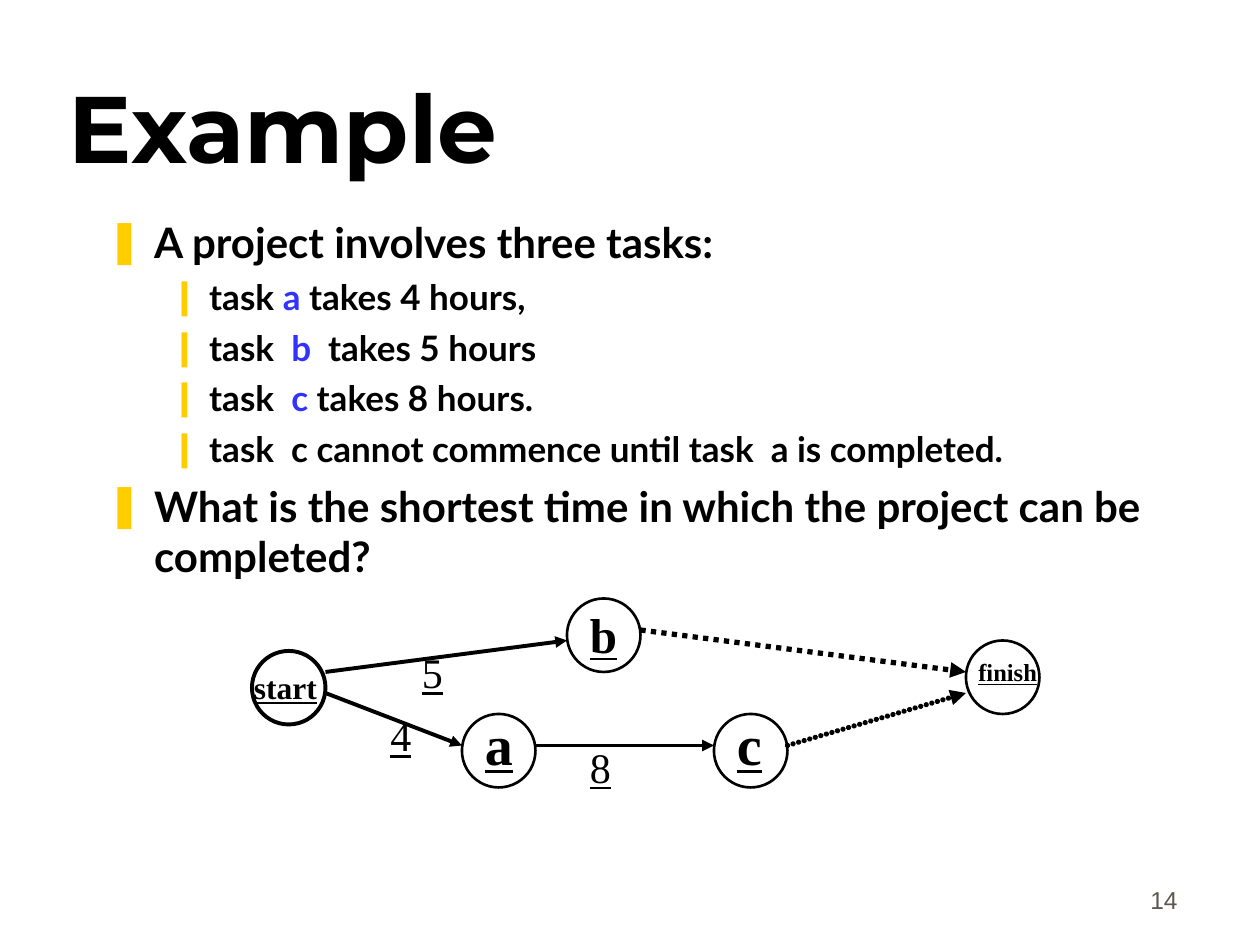
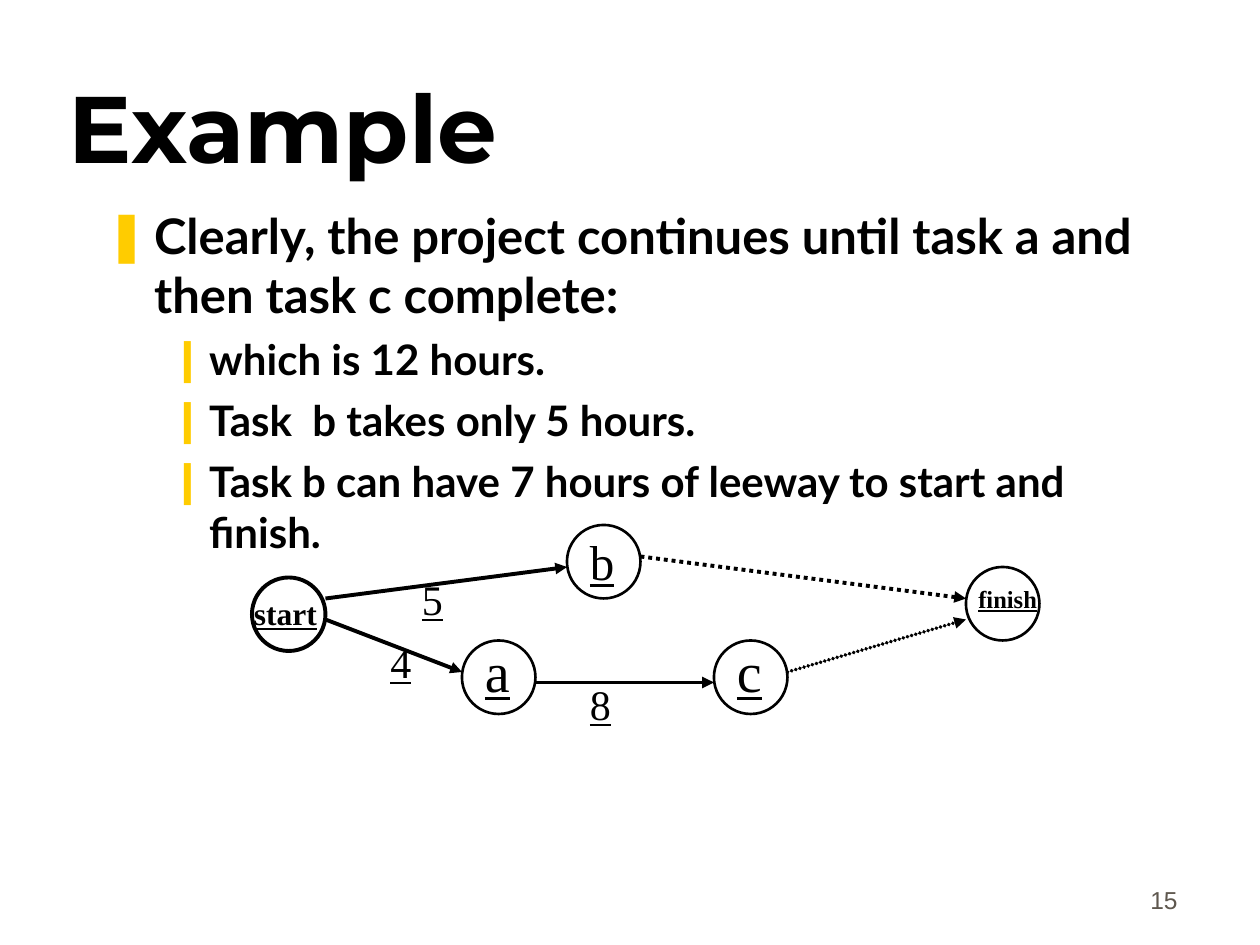
from dataclasses import dataclass
from typing import NamedTuple

from lxml.etree import SubElement
from pptx import Presentation
from pptx.dml.color import RGBColor
from pptx.enum.dml import MSO_LINE
from pptx.enum.shapes import MSO_CONNECTOR, MSO_SHAPE
from pptx.enum.text import MSO_ANCHOR, PP_ALIGN
from pptx.oxml.ns import qn
from pptx.util import Pt


class Box(NamedTuple):
    """A region in points."""
    left: float
    top: float
    width: float
    height: float


class Level(NamedTuple):
    """The bullet and indents of one outline level."""
    bullet: str
    margin: float
    hanging: float


class Node(NamedTuple):
    """A circle of the project graph and the place and size of its label."""
    name: str
    left: float
    top: float
    label_left: float
    label_top: float
    label_width: float
    size: float
    terminal: bool = False
    outline: float = 1.5


@dataclass(frozen=True)
class Theme:
    """Colours, fonts and sizes shared by the slides."""
    ink: RGBColor = RGBColor(0x00, 0x00, 0x00)
    accent: RGBColor = RGBColor(0x33, 0x33, 0xFF)
    number: RGBColor = RGBColor(0x5E, 0x57, 0x4E)
    bullet: str = "FFCC00"
    bullet_font: str = "Arial"
    title_font: str = "Montserrat"
    body_font: str = "Lato"
    number_font: str = "Arial"
    graph_font: str = "Times New Roman"
    title_size: float = 54
    number_size: float = 14
    weight_size: float = 24
    arrow_width: float = 2.25
    circle: float = 42


THEME = Theme()
TITLE_BOX = Box(32, 18, 612, 90)
NUMBER_BOX = Box(530, 490, 150, 36)
LEVELS = [Level("❚", 27, 27), Level("❙", 58.5, 22.5)]
NODES = [
    Node("start", 0, 30, -6, 6, 72, 18, True, 2.25),
    Node("a", 120, 66, 6, -6, 36, 32),
    Node("c", 264, 66, 6, -6, 42, 32),
    Node("b", 180, 0, 6, 0, 30, 28),
    Node("finish", 408, 24, 0, 6, 72, 14, True),
]


def add_text_box(slide, box, anchor=MSO_ANCHOR.TOP):
    """Add a wrapping text box and return its text frame."""
    frame = slide.shapes.add_textbox(*map(Pt, box)).text_frame
    frame.word_wrap = True
    frame.vertical_anchor = anchor
    return frame


def add_run(paragraph, text, font, size, color=THEME.ink, bold=False, underline=False):
    """Add one styled run to a paragraph."""
    run = paragraph.add_run()
    run.text = text
    run.font.name = font
    run.font.size = Pt(size)
    run.font.bold = bold
    run.font.underline = underline
    run.font.color.rgb = color


def add_title(slide, box, text):
    """Add the slide title at the foot of its box."""
    paragraph = add_text_box(slide, box, MSO_ANCHOR.BOTTOM).paragraphs[0]
    add_run(paragraph, text, THEME.title_font, THEME.title_size, bold=True)


def add_slide_number(slide, box, number):
    """Add the slide number at the right of its box."""
    paragraph = add_text_box(slide, box, MSO_ANCHOR.BOTTOM).paragraphs[0]
    paragraph.alignment = PP_ALIGN.RIGHT
    add_run(paragraph, str(number), THEME.number_font, THEME.number_size, THEME.number)


def set_bullet(paragraph, level):
    """Give a paragraph the bullet and hanging indent of its level."""
    properties = paragraph._p.get_or_add_pPr()
    properties.set("marL", str(Pt(level.margin)))
    properties.set("indent", str(-Pt(level.hanging)))
    color = SubElement(properties, qn("a:buClr"))
    SubElement(color, qn("a:srgbClr"), val=THEME.bullet)
    SubElement(properties, qn("a:buFont"), typeface=THEME.bullet_font)
    SubElement(properties, qn("a:buChar"), char=level.bullet)


def add_outline(slide, box, items, sizes):
    """Add bulleted lines, accenting every second part of a line."""
    frame = add_text_box(slide, box)
    for index, (depth, *parts) in enumerate(items):
        paragraph = frame.add_paragraph() if index else frame.paragraphs[0]
        paragraph.level = depth
        set_bullet(paragraph, LEVELS[depth])
        if index:
            paragraph.space_before = Pt(sizes[depth] / 4)
        for position, part in enumerate(parts):
            color = THEME.accent if position % 2 else THEME.ink
            add_run(paragraph, part, THEME.body_font, sizes[depth], color, bold=True)


def add_circle(slide, box, outline):
    """Add an unfilled circle."""
    shape = slide.shapes.add_shape(MSO_SHAPE.OVAL, *map(Pt, box))
    shape.shadow.inherit = False
    shape.fill.background()
    shape.line.color.rgb = THEME.ink
    shape.line.width = Pt(outline)


def add_arrow(slide, start, end, width, dash=None, round_dots=False):
    """Add an arrow, solid or dotted, between two points."""
    connector = slide.shapes.add_connector(
        MSO_CONNECTOR.STRAIGHT, *map(Pt, (*start, *end)))
    connector.line.color.rgb = THEME.ink
    connector.line.width = Pt(width)
    if dash:
        connector.line.dash_style = dash
    line = connector.line._get_or_add_ln()
    if round_dots:
        line.set("cap", "rnd")
        dots = SubElement(line, qn("a:custDash"))
        SubElement(dots, qn("a:ds"), d="100000", sp="10000")
    SubElement(line, qn("a:tailEnd"), type="triangle")
    SubElement(connector._element.spPr, qn("a:effectLst"))


def add_graph_label(slide, box, text, size, bold=False):
    """Add an underlined label of the project graph."""
    paragraph = add_text_box(slide, box).paragraphs[0]
    add_run(paragraph, text, THEME.graph_font, size, bold=bold, underline=True)


def add_project_graph(slide, box, bold_tasks, dotted_width, middle):
    """Add the task graph, with the a to c arrow and its weight at the given height."""
    def place(left, top):
        return box.left + left, box.top + top

    for node in NODES:
        add_circle(slide, Box(*place(node.left, node.top), THEME.circle, THEME.circle),
                   node.outline)
    solid, dotted = THEME.arrow_width, dotted_width
    for start, end, *style in [
        ((42, 54), (120, 84), solid),
        ((162, middle), (264, middle), solid),
        ((306, 84), (408, 54), dotted, None, True),
        ((42, 42), (180, 24), solid),
        ((222, 18), (408, 42), dotted, MSO_LINE.ROUND_DOT),
    ]:
        add_arrow(slide, place(*start), place(*end), *style)
    for node in NODES:
        corner = place(node.left + node.label_left, node.top + node.label_top)
        label_box = Box(*corner, node.label_width, node.size * 1.2 + 7.2)
        add_graph_label(slide, label_box, node.name, node.size, node.terminal or bold_tasks)
    for text, left, top in [("5", 90, 24), ("4", 72, 60), ("8", 186, middle - 6)]:
        add_graph_label(slide, Box(*place(left, top), 48, 36), text, THEME.weight_size)


def add_example_slide(presentation, number, body_top, items, sizes, graph_top, **graph):
    """Add one example slide with its outline and project graph."""
    slide = presentation.slides.add_slide(presentation.slide_layouts[6])
    add_slide_number(slide, NUMBER_BOX, number)
    add_title(slide, TITLE_BOX, "Example")
    add_outline(slide, Box(54, body_top, 612, 324), items, sizes)
    add_project_graph(slide, Box(144, graph_top, 450, 108), **graph)


def main():
    """Build and save the presentation."""
    presentation = Presentation()
    presentation.slide_width, presentation.slide_height = Pt(720), Pt(540)
    add_example_slide(presentation, 14, 120, [
        (0, "A project involves three tasks:"),
        (1, "task ", "a", " takes 4 hours,"),
        (1, "task  ", "b", "  takes 5 hours"),
        (1, "task  ", "c", " takes 8 hours."),
        (1, "task  c cannot commence until task  a is completed."),
        (0, "What is the shortest time in which the project can be completed?"),
    ], (24, 20), 342, bold_tasks=True, dotted_width=3, middle=84)
    add_example_slide(presentation, 15, 114, [
        (0, "Clearly, the project continues until task a and then task c complete:"),
        (1, "which is 12 hours."),
        (1, "Task  b takes only 5 hours."),
        (1, "Task b can have 7 hours of leeway to start and finish."),
    ], (28, 24), 300, bold_tasks=False, dotted_width=2.25, middle=90)
    presentation.save("out.pptx")


if __name__ == "__main__":
    main()
